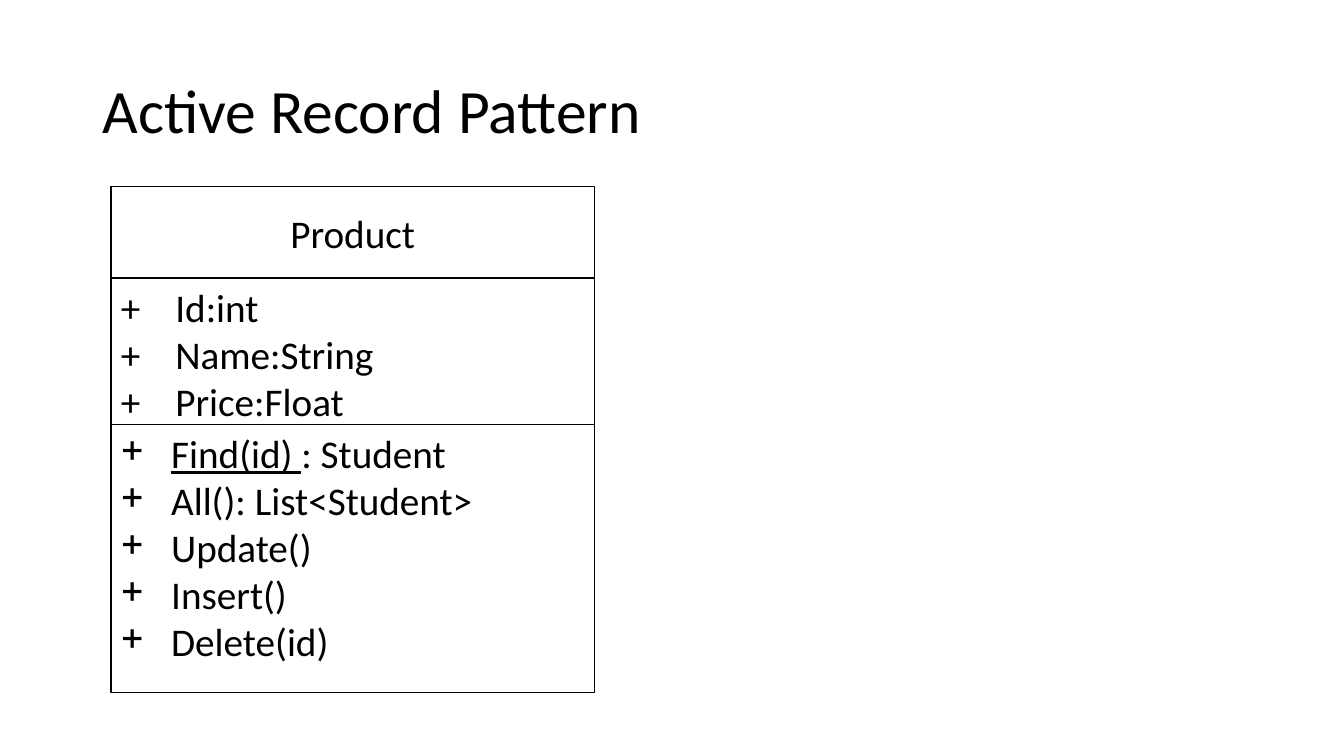
from lxml.etree import SubElement
from pptx import Presentation
from pptx.dml.color import RGBColor
from pptx.enum.shapes import MSO_SHAPE
from pptx.enum.text import MSO_ANCHOR, PP_ALIGN
from pptx.oxml.ns import qn
from pptx.util import Pt

TITLE = "Active Record Pattern"
CLASS_NAME = "Product"
ATTRIBUTES = ["Id:int", "Name:String", "Price:Float"]
# Each method is (underlined part, plain part)
METHODS = [
    ("Find(id) ", ": Student"),
    ("", "All(): List<Student>"),
    ("", "Update()"),
    ("", "Insert()"),
    ("", "Delete(id)"),
]

COLORS = {"ink": "000000", "paper": "FFFFFF"}
FONT = "Calibri"
LEFT, TOP, WIDTH = 79.2, 133.2, 345.6
NAME_H, ATTRIBUTES_H, METHODS_H = 65.5, 104.4, 191.5
ATTRIBUTE_INDENT, METHOD_INDENT = 39, 36


def color(name):
    return RGBColor.from_string(COLORS[name])


def add_run(p, text, size=28, underline=None):
    r = p.add_run()
    r.text = text
    r.font.color.rgb = color("ink")
    style = {"name": FONT, "size": Pt(size), "underline": underline}
    for attr, value in style.items():
        setattr(r.font, attr, value)


def hang(p, indent, bullet=None):
    """Give the paragraph a hanging indent and, if asked, a bullet."""
    pPr = p._p.get_or_add_pPr()
    pPr.set("marL", str(Pt(indent)))
    pPr.set("indent", str(-Pt(indent)))
    if bullet:
        SubElement(pPr, qn("a:buChar")).set("char", bullet)


def add_compartment(group, top, height, anchor, align, lines):
    """Draw one box of the class and return its paragraphs."""
    s = group.shapes.add_shape(
        MSO_SHAPE.RECTANGLE, Pt(LEFT), Pt(top), Pt(WIDTH), Pt(height))
    s.shadow.inherit = False
    s.fill.solid()
    s.fill.fore_color.rgb = color("paper")
    s.line.color.rgb = color("ink")
    s.line.width = Pt(1)
    tf = s.text_frame
    tf.word_wrap = True
    tf.vertical_anchor = anchor
    for _ in range(lines - 1):
        tf.add_paragraph()
    for p in tf.paragraphs:
        p.alignment = align
    return tf.paragraphs


prs = Presentation()
prs.slide_width, prs.slide_height = Pt(960), Pt(540)
slide = prs.slides.add_slide(prs.slide_layouts[5])

title = slide.shapes.title
title.left, title.top, title.width, title.height = Pt(66), Pt(28.8), Pt(828), Pt(104.4)
title.text_frame.vertical_anchor = MSO_ANCHOR.MIDDLE
p = title.text_frame.paragraphs[0]
p.alignment = PP_ALIGN.LEFT
p.line_spacing = 0.9
add_run(p, TITLE, size=44)

group = slide.shapes.add_group_shape()
attributes_top = TOP + NAME_H
methods_top = attributes_top + ATTRIBUTES_H

name_box = add_compartment(
    group, TOP, NAME_H, MSO_ANCHOR.MIDDLE, PP_ALIGN.CENTER, 1)
add_run(name_box[0], CLASS_NAME)

attribute_box = add_compartment(
    group, attributes_top, ATTRIBUTES_H, MSO_ANCHOR.TOP, PP_ALIGN.LEFT, len(ATTRIBUTES))
for p, attribute in zip(attribute_box, ATTRIBUTES):
    hang(p, ATTRIBUTE_INDENT)
    add_run(p, "+\t" + attribute)

method_box = add_compartment(
    group, methods_top, METHODS_H, MSO_ANCHOR.TOP, PP_ALIGN.LEFT, len(METHODS))
for p, (underlined, plain) in zip(method_box, METHODS):
    hang(p, METHOD_INDENT, bullet="+")
    if underlined:
        add_run(p, underlined, underline=True)
    add_run(p, plain)

prs.save("out.pptx")
